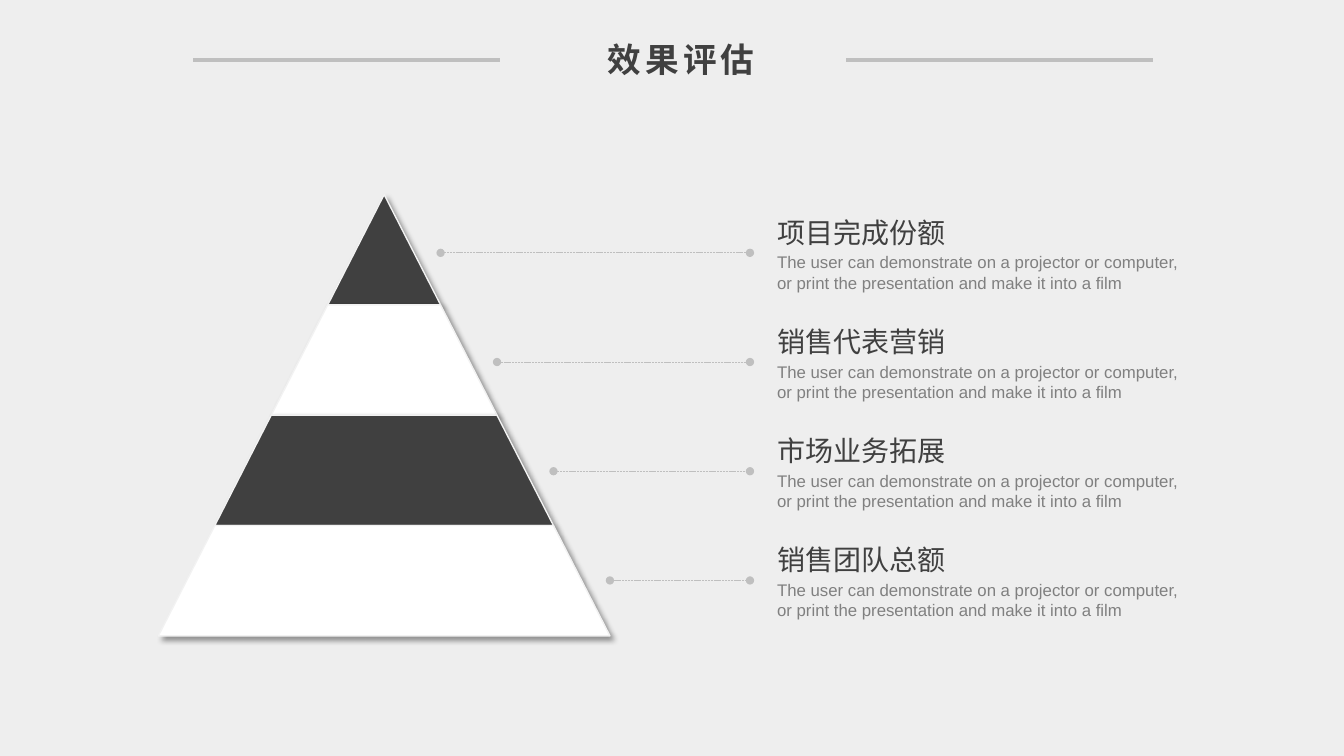
from lxml.etree import SubElement
from pptx import Presentation
from pptx.dml.color import RGBColor
from pptx.enum.dml import MSO_LINE_DASH_STYLE as Dash
from pptx.enum.shapes import MSO_CONNECTOR as Conn
from pptx.enum.text import MSO_ANCHOR as Anchor, PP_ALIGN as Align
from pptx.oxml.ns import qn
from pptx.util import Pt

TITLE = "效果评估"
DETAIL = ("The user can demonstrate on a projector or computer, "
          "or print the presentation and make it into a film")
TIERS = [
    ("项目完成份额", "dark"),
    ("销售代表营销", "white"),
    ("市场业务拓展", "dark"),
    ("销售团队总额", "white"),
]
COLORS = {"bg": "EEEEEE", "dark": "404040", "white": "FFFFFF",
          "edge": "F2F2F2", "rule": "BFBFBF", "detail": "808080"}
CJK, LATIN = "Noto Sans CJK SC", "Arial"

APEX_X, APEX_Y = 274.4, 139
TIER_H, HALF_STEP = 78.8, 40.32
LEADER_Y, LEADER_STEP, LEADER_END = 180.6, 78, 535.7
LABEL_X = 548
RULE_Y, RULE_W = 43, 219.3
RULE_STARTS = (138.2, 604.6)


def rgb(name):
    return RGBColor.from_string(COLORS[name])


def write(sp, text, size, font, color, align=Align.LEFT):
    tf = sp.text_frame
    tf.word_wrap = True
    p = tf.paragraphs[0]
    p.alignment = align
    r = p.add_run()
    r.text = text
    r.font.size = Pt(size)
    r.font.name = font
    r.font.color.rgb = rgb(color)
    SubElement(r._r.get_or_add_rPr(), qn("a:ea"), typeface=font)
    return r


def add_text(shapes, x, y, w, h, text, size, font, color, anchor):
    sp = shapes.add_textbox(Pt(x), Pt(y), Pt(w), Pt(h))
    sp.text_frame.vertical_anchor = anchor
    write(sp, text, size, font, color)


def add_line(shapes, x1, x2, y, width):
    line = shapes.add_connector(Conn.STRAIGHT, Pt(x1), Pt(y), Pt(x2), Pt(y))
    line.line.color.rgb = rgb("rule")
    line.line.width = Pt(width)
    SubElement(line._element.spPr, qn("a:effectLst"))
    return line


def add_tier(shapes, i, color):
    top, bottom = APEX_Y + i * TIER_H, APEX_Y + (i + 1) * TIER_H
    inner, outer = i * HALF_STEP, (i + 1) * HALF_STEP
    corners = [(APEX_X - inner, top), (APEX_X + inner, top),
               (APEX_X + outer, bottom), (APEX_X - outer, bottom)]
    start, *rest = [(Pt(x), Pt(y)) for x, y in corners]
    builder = shapes.build_freeform(*start)
    builder.add_line_segments(rest, close=True)
    sp = builder.convert_to_shape()
    sp.fill.solid()
    sp.fill.fore_color.rgb = rgb(color)
    sp.line.color.rgb = rgb("edge")
    sp.line.width = Pt(1)
    effects = SubElement(sp._element.spPr, qn("a:effectLst"))
    shadow = SubElement(effects, qn("a:outerShdw"), blurRad=str(Pt(4)),
                        dist=str(Pt(3)), dir="2700000", algn="tl",
                        rotWithShape="0")
    tint = SubElement(shadow, qn("a:srgbClr"), val="000000")
    SubElement(tint, qn("a:alpha"), val="40000")


def add_label(shapes, i, heading):
    y = LEADER_Y + i * LEADER_STEP
    leader = add_line(shapes, APEX_X + (i + 1) * HALF_STEP, LEADER_END, y, 0.5)
    leader.line.dash_style = Dash.SQUARE_DOT
    ln = leader.line._get_or_add_ln()
    for end in ("a:headEnd", "a:tailEnd"):
        SubElement(ln, qn(end), type="oval")
    add_text(shapes, LABEL_X, y - 31, 192, 32, heading, 20, CJK, "dark",
             Anchor.MIDDLE)
    add_text(shapes, LABEL_X, y - 4, 310, 36, DETAIL, 12, LATIN, "detail",
             Anchor.TOP)


def main():
    prs = Presentation()
    prs.slide_width, prs.slide_height = Pt(960), Pt(540)
    slide = prs.slides.add_slide(prs.slide_layouts[5])
    slide.background.fill.solid()
    slide.background.fill.fore_color.rgb = rgb("bg")

    title = slide.shapes.title
    title.left, title.top = Pt(361.5), Pt(24.5)
    title.width, title.height = Pt(250), Pt(36)
    title.text_frame.vertical_anchor = Anchor.MIDDLE
    r = write(title, TITLE, 24, CJK, "dark", Align.CENTER)
    r.font.bold = True
    r._r.get_or_add_rPr().set("spc", "300")
    for x in RULE_STARTS:
        add_line(slide.shapes, x, x + RULE_W, RULE_Y, 3)

    pyramid = slide.shapes.add_group_shape()
    for i, (heading, color) in enumerate(TIERS):
        add_tier(pyramid.shapes, i, color)
    for i, (heading, color) in enumerate(TIERS):
        label = slide.shapes.add_group_shape()
        add_label(label.shapes, i, heading)

    prs.save("out.pptx")


if __name__ == "__main__":
    main()
